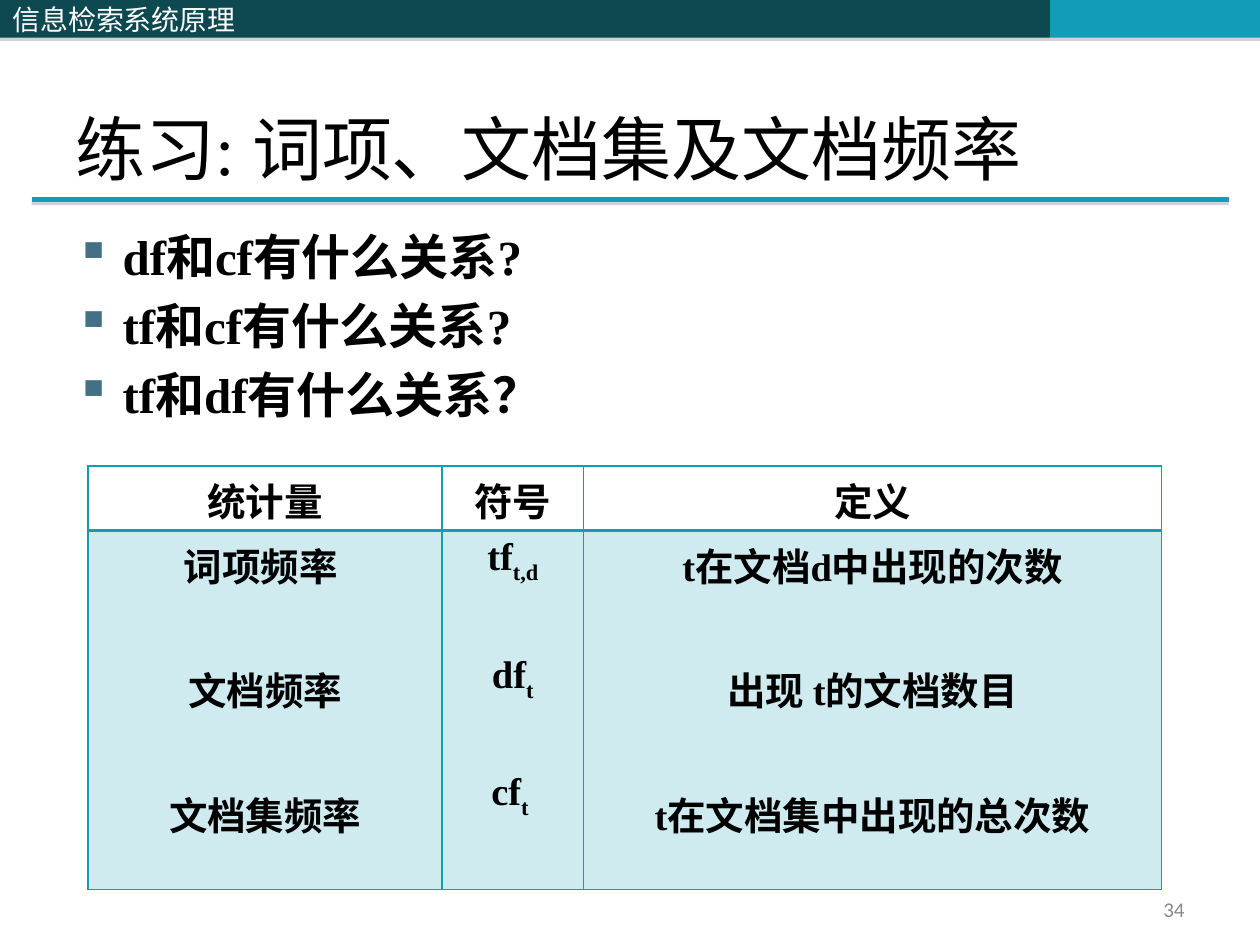
import pptx
import pptx.util
import pptx.dml.color
import pptx.enum.shapes
import pptx.enum.text
import pptx.oxml
import pptx.oxml.ns

Pt = pptx.util.Pt
RGB = pptx.dml.color.RGBColor
ALIGN = pptx.enum.text.PP_ALIGN
ANCHOR = pptx.enum.text.MSO_ANCHOR

DARK = RGB(0x0E, 0x48, 0x51)
TEAL = RGB(0x13, 0x9C, 0xB7)
SLATE = RGB(0x43, 0x70, 0x85)
GREY = RGB(0x89, 0x89, 0x89)
SHADE = RGB(0x80, 0x80, 0x80)
BLACK = RGB(0, 0, 0)
WHITE = RGB(0xFF, 0xFF, 0xFF)

SERIF, SANS, HAN = "Times New Roman", "Calibri", "Noto Sans CJK SC"
COLS, ROWS = 40, 30


def node(tag, body="", attrs=""):
    """Make a drawing element from its tag, inner markup and attributes."""
    space = pptx.oxml.ns.nsdecls("a")
    return pptx.oxml.parse_xml(f"<a:{tag} {space} {attrs}>{body}</a:{tag}>")


def tint(color, alpha=100):
    """Give the markup of a colour with its opacity in percent."""
    return f'<a:srgbClr val="{color}"><a:alpha val="{alpha * 1000}"/></a:srgbClr>'


def write(frame, paras, size=22, color=BLACK, font=SERIF, bold=False,
          align=ALIGN.LEFT, anchor=ANCHOR.TOP, first=0, gap=0, bullet=None):
    """Fill a frame; a paragraph is a string or a (base, subscript) pair."""
    frame.word_wrap = True
    frame.vertical_anchor = anchor
    for i, item in enumerate(paras):
        para = frame.add_paragraph() if i else frame.paragraphs[0]
        para.alignment = align
        para.space_before = Pt(gap if i else first)
        if bullet:
            props = para._p.get_or_add_pPr()
            props.set("marL", str(Pt(27)))
            props.set("indent", str(-Pt(27)))
            props.append(node("buClr", tint(SLATE)))
            props.append(node("buChar", attrs=f'char="{bullet}"'))
        parts = (item,) if isinstance(item, str) else item
        for j, part in enumerate(parts):
            run = para.add_run()
            run.text = part
            run.font.size, run.font.bold = Pt(size), bold
            run.font.name, run.font.color.rgb = font, color
            props = run._r.get_or_add_rPr()
            props.append(node("ea", attrs=f'typeface="{HAN}"'))
            if j:
                props.set("baseline", "-25000")


class Page:
    """Holds the slide and its grid, with a method for each element."""

    def __init__(self, deck):
        """Add a blank slide and work out the grid steps."""
        self.slide = deck.slides.add_slide(deck.slide_layouts[6])
        self.shapes = self.slide.shapes
        self.dx = deck.slide_width / COLS
        self.dy = deck.slide_height / ROWS

    def grid(self, *box):
        """Turn alternating columns and rows into lengths."""
        return [round(v * (self.dy if i % 2 else self.dx))
                for i, v in enumerate(box)]

    def shadow(self, shape, dist):
        """Drop a hard grey shadow straight down."""
        cast = (f'<a:outerShdw blurRad="0" dist="{Pt(dist)}" dir="5400000" '
                f'rotWithShape="0">{tint(SHADE, 35)}</a:outerShdw>')
        shape._element.spPr.append(node("effectLst", cast))

    def bar(self, box, color):
        """Draw a plain filled bar."""
        kind = pptx.enum.shapes.MSO_SHAPE.RECTANGLE
        shape = self.shapes.add_shape(kind, *self.grid(*box))
        shape.fill.solid()
        shape.fill.fore_color.rgb = color
        shape.line.fill.background()
        self.shadow(shape, 1.8)
        return shape

    def rule(self, ends, color, width):
        """Draw a straight line."""
        kind = pptx.enum.shapes.MSO_CONNECTOR.STRAIGHT
        line = self.shapes.add_connector(kind, *self.grid(*ends))
        line.line.color.rgb, line.line.width = color, Pt(width)
        self.shadow(line, 1.6)

    def text(self, box, paras, **style):
        """Place a text box."""
        write(self.shapes.add_textbox(*self.grid(*box)).text_frame,
              paras, **style)

    def cell(self, cell, paras, alpha, base, **style):
        """Fill one table cell and draw its borders."""
        write(cell.text_frame, paras, **style)
        props = cell._tc.get_or_add_tcPr()
        for side, width in zip("LRTB", (1, 1, 1, base)):
            ink = f"<a:solidFill>{tint(TEAL)}</a:solidFill>"
            props.append(node("ln" + side, ink, f'w="{Pt(width)}"'))
        fill = node("solidFill", tint(TEAL, alpha)) if alpha else node("noFill")
        props.append(fill)

    def table(self, box, wide, tall, head, body, **style):
        """Build a table with a clear head row and one tinted body row."""
        frame = self.shapes.add_table(2, len(wide), *self.grid(*box))
        table = frame.table
        table.first_row = table.horz_banding = False
        for col, width in zip(table.columns, wide):
            col.width = round(width * self.dx)
        for row, height in zip(table.rows, tall):
            row.height = round(height * self.dy)
        for i, (name, paras) in enumerate(zip(head, body)):
            self.cell(table.cell(0, i), [name], 0, 2, **style)
            self.cell(table.cell(1, i), paras, 20, 1,
                      first=7, gap=39.3, **style)


def main():
    """Build the slide and save it."""
    deck = pptx.Presentation()
    deck.slide_width = pptx.util.Inches(10)
    deck.slide_height = pptx.util.Inches(7.5)
    page = Page(deck)

    split = COLS * 5 / 6
    top = page.bar((0, 0, split, 1.2), DARK)
    write(top.text_frame, ["信息检索系统原理"], size=16, color=WHITE,
          font=HAN, anchor=ANCHOR.MIDDLE)
    page.bar((split, 0, COLS - split, 1.2), TEAL)
    page.rule((1, 6.34, 39, 6.34), TEAL, 3)

    page.text((2, 1.2, 36, 5), ["练习: 词项、文档集及文档频率"],
              size=40, anchor=ANCHOR.BOTTOM)
    page.text((2, 7, 36, 7.4),
              ["df和cf有什么关系?", "tf和cf有什么关系?", "tf和df有什么关系？"],
              size=28, bold=True, first=5.6, gap=5.6, bullet="▪")
    page.text((28.68, 28.32, 9.32, 1.08), ["34"], size=12, color=GREY,
              font=SANS, align=ALIGN.RIGHT, anchor=ANCHOR.MIDDLE)

    page.table((2.8, 14.8, 34.08, 13.44), (11.24, 4.48, 18.36), (2.04, 11.4),
               ("统计量", "符号", "定义"),
               (("词项频率 ", "文档频率", "文档集频率"),
                (("tf", "t,d"), ("df", "t"), ("cf", "t ")),
                ("t在文档d中出现的次数", "出现 t的文档数目",
                 "t在文档集中出现的总次数")),
               bold=True, align=ALIGN.CENTER)
    deck.save("out.pptx")


main()
